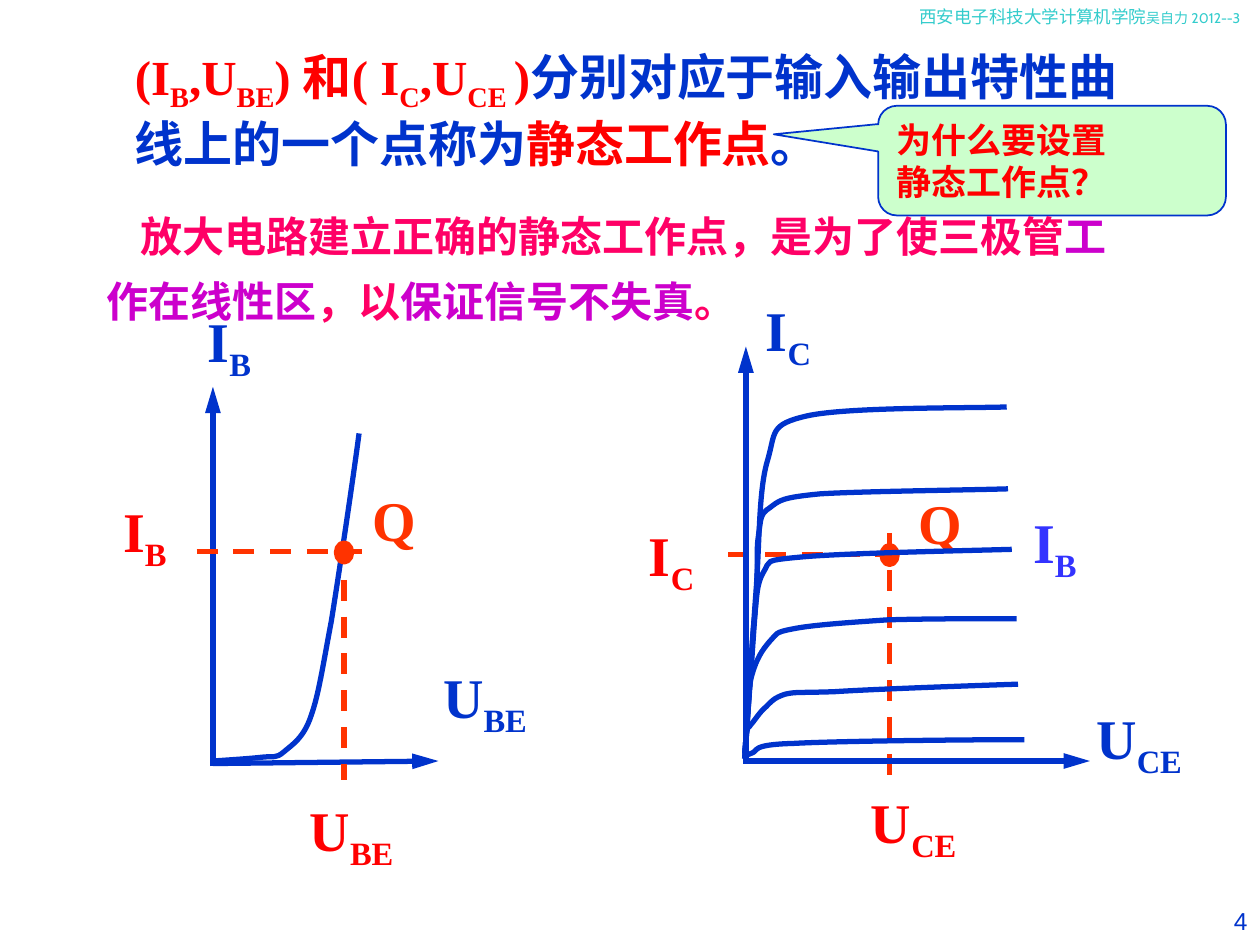
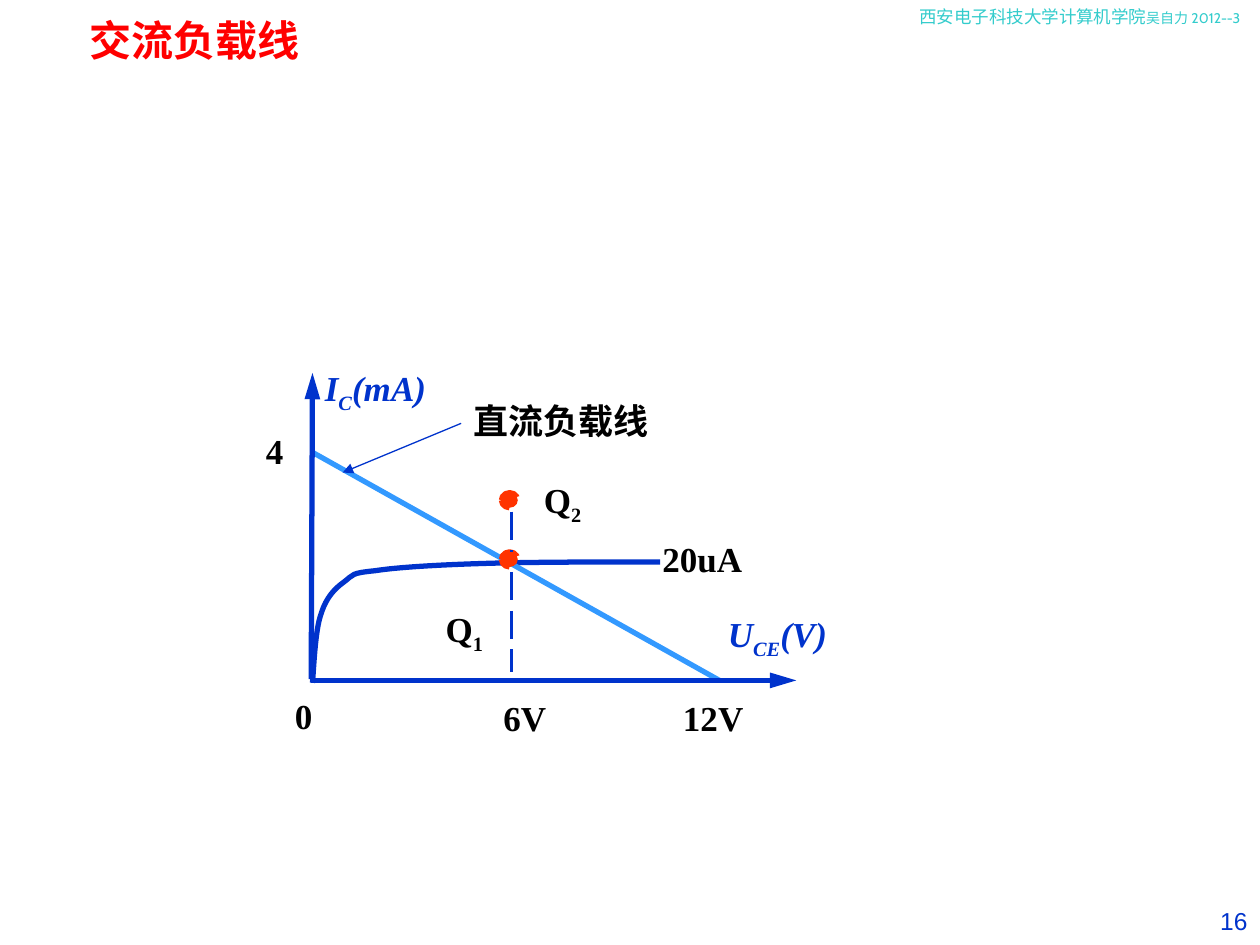
from lxml import etree
from pptx import Presentation
from pptx.dml.color import RGBColor
from pptx.enum.dml import MSO_LINE
from pptx.enum.shapes import MSO_CONNECTOR, MSO_SHAPE
from pptx.enum.text import MSO_ANCHOR, MSO_AUTO_SIZE, PP_ALIGN
from pptx.oxml.ns import qn
from pptx.util import Pt

PX = 9144  # one px is a hundredth of an inch
BLUE = RGBColor(0x00, 0x33, 0xCC)
IRIS = RGBColor(0x33, 0x33, 0xFF)
SKY = RGBColor(0x33, 0x99, 0xFF)
TEAL = RGBColor(0x33, 0xCC, 0xCC)
RED = RGBColor(0xFF, 0x00, 0x00)
FLAME = RGBColor(0xFF, 0x33, 0x00)
ROSE = RGBColor(0xFF, 0x00, 0x66)
PLUM = RGBColor(0xCC, 0x00, 0xCC)
MINT = RGBColor(0xCC, 0xFF, 0xCC)
WHITE = RGBColor(0xFF, 0xFF, 0xFF)
BLACK = RGBColor(0x00, 0x00, 0x00)
SERIF, HAN = "Times New Roman", "Noto Sans CJK SC"
LEFT, MID, RIGHT = PP_ALIGN.LEFT, PP_ALIGN.CENTER, PP_ALIGN.RIGHT
TOP, CENTER = MSO_ANCHOR.TOP, MSO_ANCHOR.MIDDLE
DASH, LONG = MSO_LINE.DASH, MSO_LINE.LONG_DASH
STRAIGHT = MSO_CONNECTOR.STRAIGHT
OVAL, BUBBLE = MSO_SHAPE.OVAL, MSO_SHAPE.ROUNDED_RECTANGULAR_CALLOUT
FREE = MSO_AUTO_SIZE.NONE


def emu(*nums):
    return [round(n * PX) for n in nums]


class Pen:
    """Holds the deck's style and the slide being drawn."""

    def __init__(self):
        self.deck = Presentation()
        self.deck.slide_width, self.deck.slide_height = emu(1000, 750)
        self.slide = None
        self.size = 20

    def page(self, num, size):
        """Start a slide with its header line and page number."""
        self.slide = self.deck.slides.add_slide(self.deck.slide_layouts[5])
        self.size = size
        head = self.text((720, 0, 280, 40), [("西安电子科技大学计算机学院", TEAL)],
                         LEFT, TOP, size=10, font="Cabin", bold=False)
        self.run(head, "吴自力 2012--3", TEAL, 8, "Cabin", False)
        self.text((933, 714, 67, 36), [(num, BLUE)], RIGHT, TOP,
                  size=14, font="Arial", bold=False)

    def run(self, para, text, color, size, font=SERIF, bold=True, slant=False):
        """Add runs; parts between underscores are set as subscripts."""
        for i, part in enumerate(text.split("_")):
            if not part:
                continue
            run = para.add_run()
            run.text = part
            face = run.font
            face.size, face.name, face.bold = Pt(size), font, bold
            face.italic = slant
            face.color.rgb = color
            props = run._r.get_or_add_rPr()
            etree.SubElement(props, qn("a:ea")).set("typeface", HAN)
            if i % 2:
                props.set("baseline", "-25000")

    def fill(self, shape, lines, align, anchor, **style):
        """Write lines, each a list of (text, colour), into a shape."""
        frame = shape.text_frame
        frame.auto_size, frame.vertical_anchor = FREE, anchor
        frame.word_wrap = align != MID
        for i, line in enumerate(lines):
            para = frame.add_paragraph() if i else frame.paragraphs[0]
            para.alignment = align
            for text, color in line:
                self.run(para, text, color, **style)
        return para

    def text(self, area, runs, align=MID, anchor=CENTER, size=None, drop=5,
             **style):
        box = self.slide.shapes.add_textbox(*emu(*area))
        box.text_frame.margin_top = drop * PX
        return self.fill(box, [runs], align, anchor,
                         size=size or self.size, **style)

    def title(self, area, runs, align, size):
        box = self.slide.shapes.title
        box.left, box.top, box.width, box.height = emu(*area)
        self.fill(box, [runs], align, CENTER, size=size)
        return box

    def bubble(self, box, *values):
        """Give a placeholder the outline of a white callout."""
        geom = etree.SubElement(box._element.spPr, qn("a:prstGeom"))
        geom.set("prst", "wedgeRoundRectCallout")
        guides = etree.SubElement(geom, qn("a:avLst"))
        for i, value in enumerate(values, 1):
            guide = etree.SubElement(guides, qn("a:gd"))
            guide.set("name", f"adj{i}")
            guide.set("fmla", f"val {round(value * 100000)}")
        box.fill.solid()
        box.fill.fore_color.rgb = WHITE

    def stroke(self, item, color, width, dash=None):
        item.line.color.rgb = color
        item.line.width = Pt(width)
        if dash:
            item.line.dash_style = dash

    def line(self, x1, y1, x2, y2, color=BLUE, width=3, dash=None, tip=None):
        """Draw a line; tip is the length of its arrowhead."""
        item = self.slide.shapes.add_connector(STRAIGHT, *emu(x1, y1, x2, y2))
        self.stroke(item, color, width, dash)
        props = item._element.spPr
        if tip:
            end = etree.SubElement(props.find(qn("a:ln")), qn("a:tailEnd"))
            end.set("type", "triangle")
            end.set("len", tip)
        etree.SubElement(props, qn("a:effectLst"))

    def curve(self, start, *bends):
        """Join cubic curves; each bend is x1 y1 x2 y2 x y."""
        dots = [emu(*b[i:i + 2]) for b in bends for i in (0, 2, 4)]
        path = self.slide.shapes.build_freeform(*emu(*start), scale=1.0)
        path.add_line_segments(dots, close=False)
        item = path.convert_to_shape()
        steps = list(item._element.iter(qn("a:lnTo")))
        for i in range(0, len(steps), 3):
            bend = etree.SubElement(steps[i].getparent(), qn("a:cubicBezTo"))
            for step in steps[i:i + 3]:
                bend.append(step[0])
                step.getparent().remove(step)
        item.shadow.inherit = False
        item.fill.background()
        self.stroke(item, BLUE, 3)

    def shape(self, kind, area, color, edge, width, dash=None):
        item = self.slide.shapes.add_shape(kind, *emu(*area))
        item.shadow.inherit = False
        item.fill.solid()
        item.fill.fore_color.rgb = color
        self.stroke(item, edge, width, dash)
        return item

    def dot(self, x, y, wide, high, dash=None):
        self.shape(OVAL, (x, y, wide, high), FLAME, FLAME, 3, dash)


def quiescent(pen):
    pen.page("4", 32)
    pen.title((97, 32, 827, 110),
              [("(I_B_,U_BE_) 和( I_C_,U_CE _)", RED),
               ("分别对应于输入输出特性曲线上的一个点称为", BLUE),
               ("静态工作点", RED), ("。", BLUE)], LEFT, 28)

    # Input curve
    pen.line(169, 608, 169, 307, tip="lg")
    pen.line(169, 606, 348, 604, tip="lg")
    pen.text((107, 238, 150, 71), [("I_B", BLUE)])
    pen.text((342, 521, 86, 71), [("U_BE", BLUE)])
    pen.curve((169, 604), (184, 603, 199, 602, 208, 601),
              (218, 600, 219, 602, 225, 597), (232, 591, 241, 586, 247, 568),
              (253, 551, 256, 530, 263, 493), (269, 456, 281, 375, 285, 344))

    # Working point on the input curve
    pen.dot(267, 431, 12, 15)
    pen.text((286, 380, 54, 64), [("Q", FLAME)])
    pen.line(156, 438, 287, 438, FLAME, dash=DASH)
    pen.text((88, 389, 54, 71), [("I_B", RED)])
    pen.line(273, 431, 273, 619, FLAME, dash=DASH)
    pen.text((236, 626, 86, 71), [("U_BE", RED)])

    # Working point on the output curves
    pen.dot(700, 433, 12, 15)
    pen.text((719, 382, 54, 64), [("Q", FLAME)])
    pen.line(706, 423, 706, 625, FLAME, dash=DASH)
    pen.text((681, 620, 88, 71), [("U_CE", RED)])
    pen.line(578, 440, 724, 440, FLAME, dash=DASH)
    pen.text((505, 408, 56, 71), [("I_C", RED)])

    # Output curves, lowest first
    pen.text((598, 229, 200, 71), [("I_C", BLUE)], LEFT)
    pen.text((860, 553, 88, 71), [("U_CE", BLUE)])
    pen.line(590, 604, 865, 604, tip="lg")
    pen.line(592, 604, 592, 275, tip="lg")
    pen.curve((592, 602), (592, 601, 590, 600, 596, 598),
              (603, 596, 594, 591, 630, 590), (666, 588, 775, 587, 813, 587))
    pen.curve((591, 602), (592, 598, 592, 584, 593, 580),
              (594, 575, 594, 579, 596, 575), (599, 572, 603, 565, 608, 561),
              (612, 557, 614, 554, 623, 551), (632, 549, 631, 550, 662, 549),
              (692, 547, 777, 544, 808, 543))
    pen.curve((591, 602), (592, 592, 593, 554, 596, 539),
              (600, 523, 605, 516, 611, 509), (617, 503, 614, 502, 630, 499),
              (645, 496, 675, 494, 704, 492), (734, 491, 785, 491, 807, 491))
    pen.curve((591, 598), (593, 581, 596, 521, 598, 498),
              (601, 474, 600, 464, 606, 454), (612, 445, 604, 445, 637, 442),
              (670, 439, 769, 437, 803, 436))
    pen.curve((591, 598), (593, 578, 598, 505, 600, 476),
              (602, 448, 600, 437, 602, 425), (604, 412, 603, 408, 611, 403),
              (619, 397, 620, 395, 651, 392), (683, 390, 769, 389, 800, 388))
    pen.curve((591, 602), (593, 580, 597, 509, 600, 470),
              (603, 430, 602, 390, 609, 366), (616, 343, 610, 337, 641, 330),
              (673, 323, 766, 324, 799, 323))
    pen.text((810, 398, 58, 71), [("I_B", IRIS)], LEFT, TOP)

    # Question and answer
    ask = pen.shape(BUBBLE, (697, 84, 276, 87), MINT, BLUE, 1)
    for i, value in enumerate((-0.8, -0.24, 0.17)):
        ask.adjustments[i] = value
    pen.fill(ask, [[("为什么要设置", RED)], [("静态工作点？", RED)]],
             LEFT, CENTER, size=20)
    para = pen.text((75, 142, 842, 123),
                    [("放大电路建立正确的静态工作点，是为了使三极管", ROSE),
                     ("工作在线性区", PLUM), ("，以", ROSE),
                     ("保证信号不失真", PLUM), ("。", ROSE)],
                    LEFT, TOP, size=24, drop=13, font=HAN)
    para.line_spacing = 1.3
    para._p.get_or_add_pPr().set("indent", str(27 * PX))


def load(pen):
    pen.page("16", 20)
    head = pen.title((12, 0, 284, 63), [("交流负载线", RED)], MID, 24)
    pen.bubble(head, -0.38, 3.92, 0.17)

    # Output curve, load line and axes
    pen.curve((248, 542), (249, 533, 250, 500, 255, 487),
              (259, 474, 266, 467, 273, 462), (281, 456, 278, 455, 298, 453),
              (317, 450, 355, 448, 393, 447), (430, 446, 496, 446, 524, 446))
    pen.line(248, 359, 571, 540, SKY)
    pen.text((248, 286, 200, 48), [("I_C_(mA)", BLUE)], LEFT, slant=True)
    pen.text((546, 481, 142, 48), [("U_CE_(V)", BLUE)], slant=True)
    pen.line(247, 540, 632, 540, tip="lg")
    pen.line(247, 539, 248, 296, tip="lg")

    # Working points, each with a dashed drop line
    for y, start, end in ((438, 454, 533), (391, 406, 438)):
        pen.dot(398, y, 13, 12, DASH)
        pen.line(406, start, 406, end, width=2, dash=LONG)

    # Labels
    pen.line(366, 336, 272, 375, width=0.75, tip="med")
    for text, x, y, wide, high in (
            ("直流负载线", 366, 312, 159, 44), ("0", 224, 546, 34, 44),
            ("6V", 388, 548, 57, 44), ("12V", 532, 548, 68, 44),
            ("Q_1", 343, 477, 51, 48), ("4", 201, 336, 34, 44),
            ("Q_2", 422, 375, 49, 48), ("20uA", 516, 422, 83, 44)):
        pen.text((x, y, wide, high), [(text, BLACK)], MID, TOP)


def main():
    pen = Pen()
    quiescent(pen)
    load(pen)
    pen.deck.save("out.pptx")


if __name__ == "__main__":
    main()
